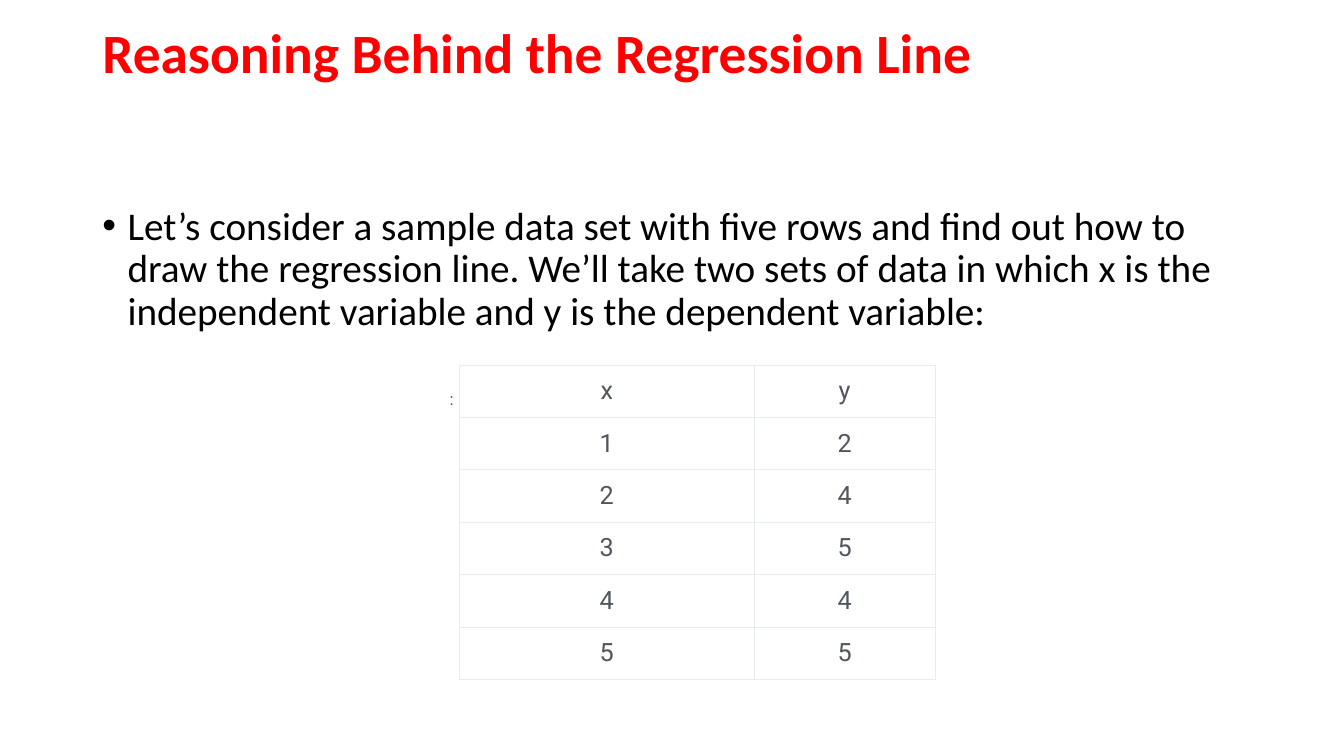
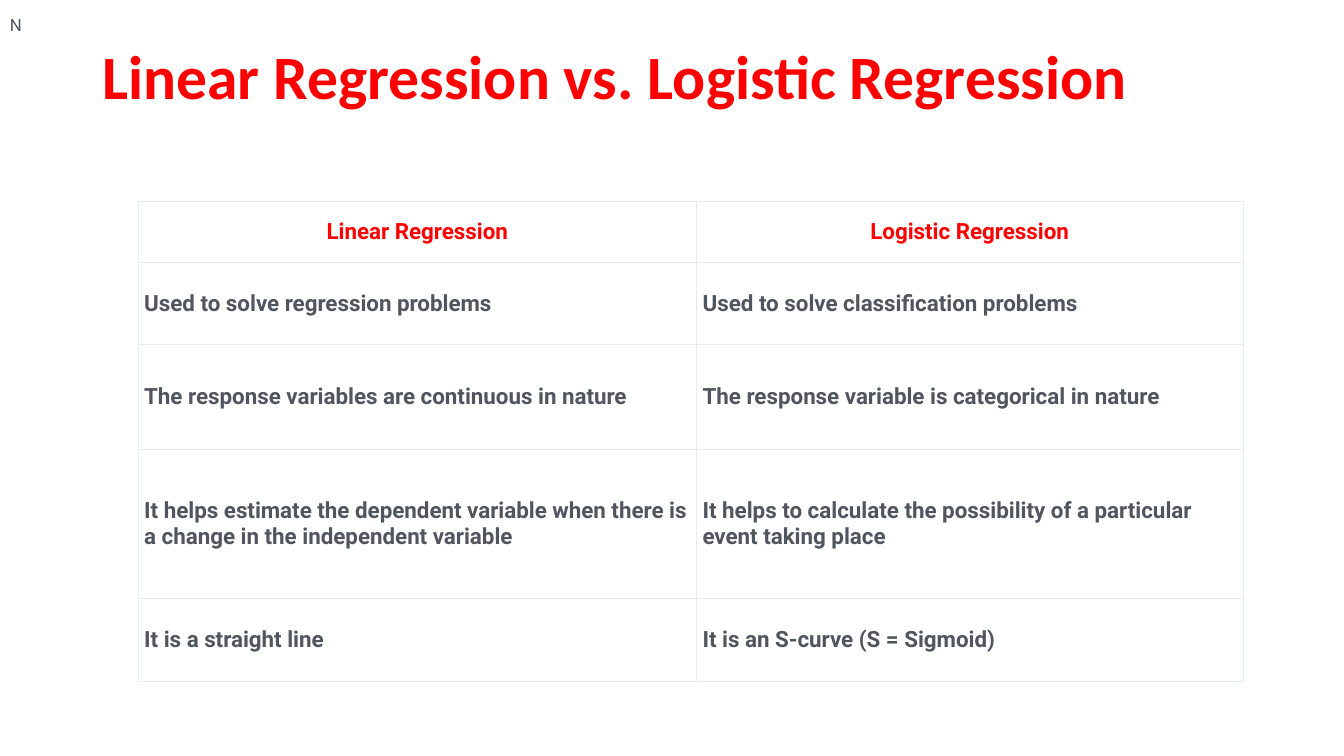
from lxml import etree
from pptx import Presentation
from pptx.dml.color import RGBColor
from pptx.enum.text import MSO_ANCHOR, PP_ALIGN
from pptx.oxml.ns import qn
from pptx.util import Inches, Pt

WIDE, HIGH = Inches(13.333), Inches(7.5)
RED = RGBColor(0xFF, 0x00, 0x00)
BLACK = RGBColor(0x00, 0x00, 0x00)
GREY = RGBColor(0x51, 0x56, 0x5E)
WHITE = RGBColor(0xFF, 0xFF, 0xFF)
EDGE = RGBColor(0xE6, 0xEC, 0xEF)
MID, TOP = MSO_ANCHOR.MIDDLE, MSO_ANCHOR.TOP
LEFT, CENTER = PP_ALIGN.LEFT, PP_ALIGN.CENTER
HEAD, BODY = "Calibri", "Roboto"
EDGES = ("lnL", "lnR", "lnT", "lnB")
MARGIN, SPAN = 6.88, 86.25

PAIRS = [("x", "y"), ("1", "2"), ("2", "4"), ("3", "5"), ("4", "4"), ("5", "5")]
KINDS = [
    ("Linear Regression", "Logistic Regression"),
    ("Used to solve regression problems", "Used to solve classification problems"),
    ("The response variables are continuous in nature",
     "The response variable is categorical in nature"),
    ("It helps estimate the dependent variable when there is a change in the independent variable",
     "It helps to calculate the possibility of a particular event taking place"),
    ("It is a straight line", "It is an S-curve (S = Sigmoid)"),
]
INTRO = ("Let’s consider a sample data set with five rows and find out how to draw the "
         "regression line. We’ll take two sets of data in which x is the independent "
         "variable and y is the dependent variable:")


def place(left, top, width, height):
    """Turn percentages of the slide into lengths."""
    return (int(WIDE * left / 100), int(HIGH * top / 100),
            int(WIDE * width / 100), int(HIGH * height / 100))


def write(frame, text, size=12, font=BODY, color=GREY, bold=False,
          align=LEFT, lead=None, bullet=False):
    """Put one formatted paragraph into a text frame."""
    para = frame.paragraphs[0]
    para.text = text
    para.alignment = align
    if lead:
        para.line_spacing = lead
    if bullet:
        props = para._p.get_or_add_pPr()
        props.set("marL", str(Inches(0.25)))
        props.set("indent", str(-Inches(0.25)))
        etree.SubElement(props, qn("a:buFont")).set("typeface", "Arial")
        etree.SubElement(props, qn("a:buChar")).set("char", "•")
    style = para.runs[0].font
    style.size, style.name, style.bold = Pt(size), font, bold
    style.color.rgb = color


def label(slide, box, text, anchor=MID, inset=0.1, **look):
    """Add a text box in the given box."""
    frame = slide.shapes.add_textbox(*place(*box)).text_frame
    frame.word_wrap = True
    frame.vertical_anchor = anchor
    frame.margin_left = frame.margin_right = Inches(inset)
    write(frame, text, **look)


def title(slide, top, text, size):
    """Add the red slide title."""
    label(slide, (MARGIN, top, SPAN, 10), text, size=size, font=HEAD,
          color=RED, bold=True, lead=0.9)


def outline(cell):
    """Draw thin lines on all sides of a cell."""
    props = cell._tc.get_or_add_tcPr()
    for spot, name in enumerate(EDGES):
        line = etree.Element(qn("a:" + name), w=str(Pt(0.5)))
        fill = etree.SubElement(line, qn("a:solidFill"))
        etree.SubElement(fill, qn("a:srgbClr"), val=str(EDGE))
        props.insert(spot, line)


def grid(slide, box, data, cols, rows, pad, first, rest):
    """Add a table whose columns and rows share the box by weight."""
    left, top, width, height = place(*box)
    table = slide.shapes.add_table(len(rows), len(cols), left, top, width, height).table
    table.first_row = table.horz_banding = False
    for col, part in zip(table.columns, cols):
        col.width = int(width * part / sum(cols))
    for row, part in zip(table.rows, rows):
        row.height = int(height * part / sum(rows))
    for r, line in enumerate(data):
        for c, text in enumerate(line):
            cell = table.cell(r, c)
            cell.fill.solid()
            cell.fill.fore_color.rgb = WHITE
            cell.vertical_anchor = MID
            cell.margin_left = cell.margin_right = Inches(pad[0])
            cell.margin_top = cell.margin_bottom = Inches(pad[1])
            write(cell.text_frame, text, **(rest if r else first))
            outline(cell)


def sample(slide):
    """Build the slide with the sample data."""
    title(slide, 2.4, "Reasoning Behind the Regression Line", 39.6)
    label(slide, (MARGIN, 26.67, SPAN, 20), INTRO, anchor=TOP, size=28,
          font=HEAD, color=BLACK, lead=0.9, bullet=True)
    look = {"size": 18, "align": CENTER}
    grid(slide, (34.16, 48.27, 35.4, 41.33), PAIRS, (2.93, 1.79),
         [1] * len(PAIRS), (0.08, 0.11), look, look)
    label(slide, (33.45, 50.8, 0.7, 4), ":", inset=0)


def versus(slide):
    """Build the slide that compares both regressions."""
    title(slide, 5.5, "Linear Regression vs. Logistic Regression", 44)
    look = {"size": 16, "bold": True}
    grid(slide, (10.28, 26.67, 82.2, 63.47), KINDS, (5.54, 5.42),
         (0.6, 0.82, 1.04, 1.48, 0.82), (0.06, 0.08),
         {**look, "color": RED, "align": CENTER}, look)
    label(slide, (0, 0, 100, 6.67), "N")


def main():
    """Build and save the deck."""
    deck = Presentation()
    deck.slide_width, deck.slide_height = WIDE, HIGH
    for build in (sample, versus):
        build(deck.slides.add_slide(deck.slide_layouts[6]))
    deck.save("out.pptx")


if __name__ == "__main__":
    main()
